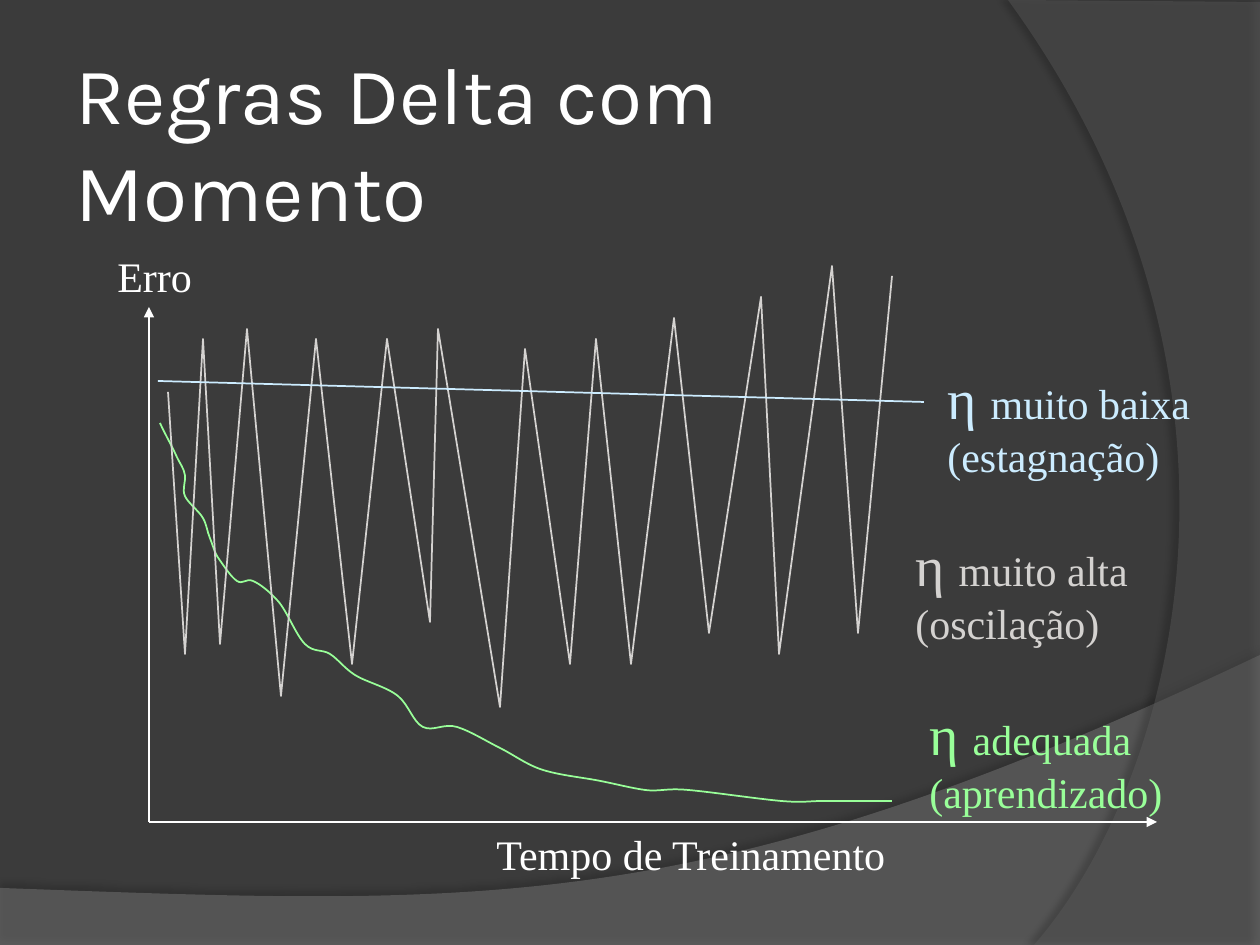
import pptx
import pptx.dml.color
import pptx.enum.text
import pptx.oxml
import pptx.oxml.ns
import pptx.util
from dataclasses import dataclass

SCALE = pptx.util.Inches(1) / 126  # EMU in one px


@dataclass(frozen=True)
class Theme:
    background: str = "3B3B3B"
    wave: str = "7F7F7F"
    crescent: str = "5E5E5E"
    text: str = "FFFFFF"
    low: str = "CCECFF"
    high: str = "D4D2D0"
    good: str = "99FF99"
    title_font: str = "Karla"
    body_font: str = "Times New Roman"
    title_size: int = 46
    symbol_size: int = 32
    body_size: int = 24
    line_width: int = 1


THEME = Theme()

OSCILLATION = [
    (168, 392), (185, 654), (203, 339), (220, 644), (247, 329), (281, 696),
    (316, 339), (352, 664), (387, 339), (430, 622), (438, 329), (500, 707),
    (525, 349), (570, 664), (596, 339), (631, 664), (674, 318), (709, 633),
    (761, 297), (779, 654), (832, 266), (858, 633), (892, 276),
]
LEARNING = [
    (160, 423), (176, 455), (185, 475), (185, 496), (203, 518), (210, 538),
    (219, 559), (237, 581), (253, 581), (278, 601), (305, 644), (330, 654),
    (355, 675), (398, 696), (423, 727), (457, 727), (500, 748), (543, 770),
    (595, 780), (645, 790), (688, 790), (781, 801), (824, 801), (876, 801),
    (892, 801),
]


def px(length):
    return pptx.util.Emu(round(length * SCALE))


def rgb(color):
    return pptx.dml.color.RGBColor.from_string(color)


def set_values(target, values):
    for name, value in values.items():
        setattr(target, name, value)


def xml(markup):
    return pptx.oxml.parse_xml(
        markup.replace(" ", f" {pptx.oxml.ns.nsdecls('a')} ", 1))


def straight(points):
    return [(point,) for point in points]


def smooth(points):
    """Return Bezier segments of a Catmull-Rom curve through the points."""
    (x0, y0), (x1, y1) = points[:2]
    (x2, y2), (x3, y3) = points[-2:]
    padded = [(2 * x0 - x1, 2 * y0 - y1), *points, (2 * x3 - x2, 2 * y3 - y2)]
    segments = []
    for before, start, end, after in zip(padded, padded[1:], padded[2:], padded[3:]):
        first = tuple(s + (e - b) / 6 for b, s, e in zip(before, start, end))
        second = tuple(e - (a - s) / 6 for s, e, a in zip(start, end, after))
        segments.append((first, second, end))
    return segments


def add_path(shapes, start, segments, close=False):
    """Draw segments of one end point, or of two control points and an end."""
    builder = shapes.build_freeform(*start, scale=SCALE)
    ends = [segment[-1] for segment in segments]
    builder.add_line_segments(ends, close=close)
    shape = builder.convert_to_shape()
    shape.shadow.inherit = False
    left, top = (min(values) for values in zip(start, *ends))
    lines = shape._element.findall(".//" + pptx.oxml.ns.qn("a:lnTo"))
    for line, segment in zip(lines, segments):
        if len(segment) == 3:
            marks = "".join(f'<a:pt x="{round(x - left)}" y="{round(y - top)}"/>'
                            for x, y in segment)
            line.getparent().replace(
                line, xml(f"<a:cubicBezTo >{marks}</a:cubicBezTo>"))
    return shape


def add_curve(shapes, start, segments, color):
    shape = add_path(shapes, start, segments)
    shape.fill.background()
    shape.line.color.rgb = rgb(color)
    shape.line.width = pptx.util.Pt(THEME.line_width)


def add_backdrop(shapes, start, segments, color, alpha, shadow):
    """Draw a translucent area; shadow is alpha, blur, distance, direction."""
    shape = add_path(shapes, start, segments, close=True)
    shape.line.fill.background()
    shape.fill.solid()
    shape.fill.fore_color.rgb = rgb(color)
    fill_color = shape._element.spPr.find(".//" + pptx.oxml.ns.qn("a:srgbClr"))
    fill_color.append(xml(f'<a:alpha val="{alpha * 1000}"/>'))
    opacity, blur, distance, direction = shadow
    effects = shape._element.spPr.find(pptx.oxml.ns.qn("a:effectLst"))
    effects.append(xml(
        f'<a:outerShdw blurRad="{pptx.util.Pt(blur)}" dist="{pptx.util.Pt(distance)}"'
        f' dir="{direction * 60000}" algn="ctr" rotWithShape="0">'
        f'<a:srgbClr val="000000"><a:alpha val="{opacity * 1000}"/></a:srgbClr>'
        "</a:outerShdw>"))


def add_axis(shapes, start, end):
    axis = shapes.add_connector(1, *map(px, start + end))
    axis.line.color.rgb = rgb(THEME.text)
    axis.line.width = pptx.util.Pt(THEME.line_width)
    axis.line._get_or_add_ln().append(xml('<a:tailEnd type="triangle"/>'))
    axis._element.spPr.append(xml("<a:effectLst />"))


def add_run(paragraph, text, size, color, font=THEME.body_font):
    run = paragraph.add_run()
    run.text = text
    set_values(run.font, {"name": font, "size": pptx.util.Pt(size), "bold": False})
    run.font.color.rgb = rgb(color)


def add_label(shapes, box, lines, color):
    """Write lines, each a list of (text, size) runs, without wrapping."""
    frame = shapes.add_textbox(*map(px, box)).text_frame
    set_values(frame, {"word_wrap": False,
                       "auto_size": pptx.enum.text.MSO_AUTO_SIZE.SHAPE_TO_FIT_TEXT})
    for index, line in enumerate(lines):
        paragraph = frame.add_paragraph() if index else frame.paragraphs[0]
        for text, size in line:
            add_run(paragraph, text, size, color)


def add_series(slide, start, segments, box, name, effect, color):
    """Group a curve with its two-line label."""
    shapes = slide.shapes.add_group_shape().shapes
    add_curve(shapes, start, segments, color)
    add_label(shapes, box, [[("η ", THEME.symbol_size), (name, THEME.body_size)],
                            [(effect, THEME.body_size)]], color)


def format_title(slide, text):
    title = slide.shapes.title
    set_values(title, {"left": px(63), "top": px(38),
                       "width": px(1029), "height": px(158)})
    set_values(title.text_frame, {
        "word_wrap": True, "auto_size": pptx.enum.text.MSO_AUTO_SIZE.NONE,
        "vertical_anchor": pptx.enum.text.MSO_ANCHOR.TOP})
    paragraph = title.text_frame.paragraphs[0]
    paragraph.alignment = pptx.enum.text.PP_ALIGN.LEFT
    add_run(paragraph, text, THEME.title_size, THEME.text, THEME.title_font)
    slide.shapes._spTree.append(title._element)


def main():
    presentation = pptx.Presentation()
    set_values(presentation, {"slide_width": px(1260), "slide_height": px(945)})
    slide = presentation.slides.add_slide(presentation.slide_layouts[5])
    slide.background.fill.solid()
    slide.background.fill.fore_color.rgb = rgb(THEME.background)
    shapes = slide.shapes

    add_backdrop(shapes, (0, 888),
                 straight([(0, 946), (1260, 946), (1260, 655)])
                 + [((704, 919), (493, 906), (0, 888))],
                 THEME.wave, 45, (35, 4, 3.5, 270))
    add_backdrop(shapes, (1260, 2),
                 straight([(1260, 945), (1034, 945)])
                 + [((1178, 780), (1283, 378), (1008, 0))] + straight([(1260, 2)]),
                 THEME.crescent, 40, (45, 4, 4, 180))

    origin = (149, 822)
    add_axis(shapes, origin, (1157, 822))
    add_axis(shapes, origin, (149, 307))
    for text, box in (("Tempo de Treinamento", (484, 822, 418, 63)),
                      ("Erro", (105, 244, 100, 63))):
        add_label(shapes, box, [[(text, THEME.body_size)]], THEME.text)

    add_series(slide, LEARNING[0], smooth(LEARNING), (917, 693, 258, 130),
               "adequada", "(aprendizado)", THEME.good)
    add_series(slide, OSCILLATION[0], straight(OSCILLATION[1:]), (903, 524, 242, 130),
               "muito alta", "(oscilação)", THEME.high)
    add_series(slide, (158, 381), straight([(924, 402)]), (935, 357, 272, 130),
               "muito baixa", "(estagnação)", THEME.low)
    format_title(slide, "Regras Delta com Momento")
    presentation.save("out.pptx")


if __name__ == "__main__":
    main()
